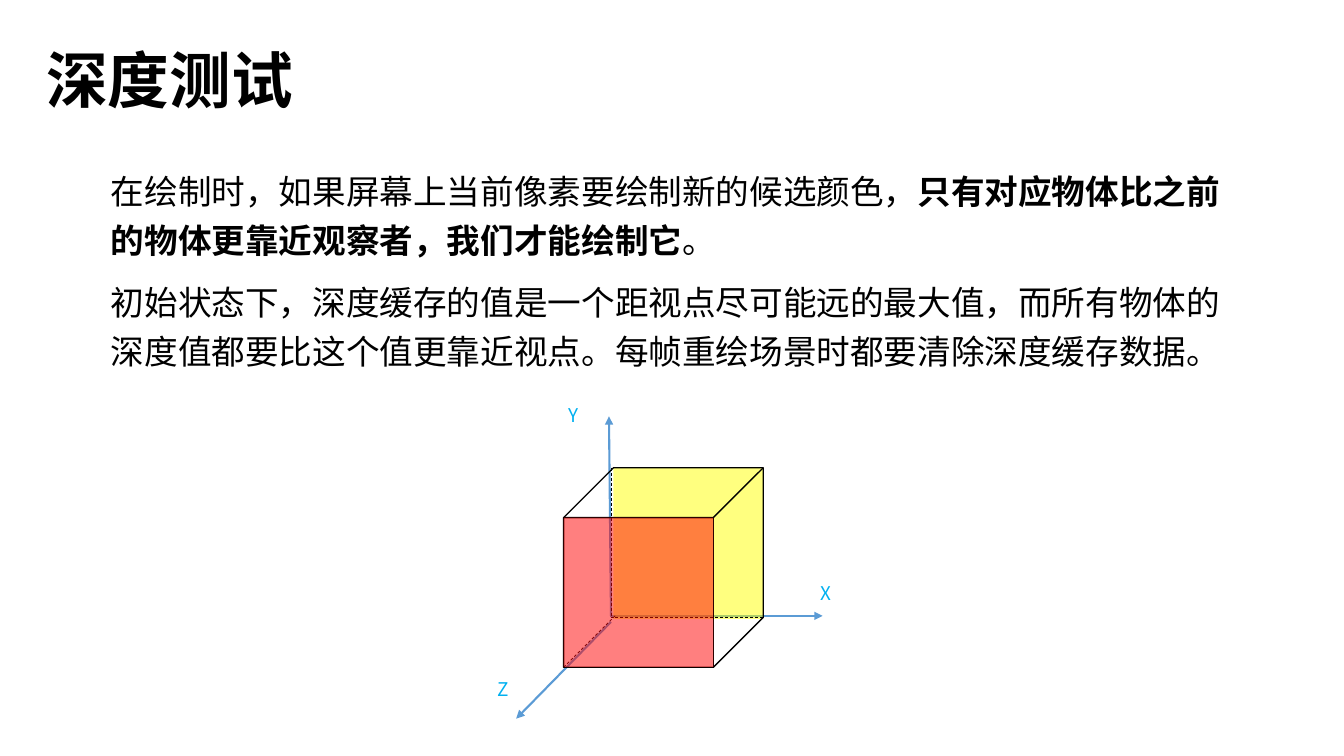
from dataclasses import dataclass
from typing import NamedTuple

from lxml import etree
from pptx import Presentation, util as u
from pptx.dml.color import RGBColor
from pptx.enum import dml, shapes, text
from pptx.oxml import ns


@dataclass(frozen=True)
class Theme:
    ink: str = "000000"
    axis: str = "5B9BD5"
    label: str = "00B0F0"
    back: str = "FFFF00"
    front: str = "FF0000"
    sans: str = "Noto Sans CJK SC"
    head: str = "Arial"
    title: float = 44
    body: float = 24
    small: float = 13.5


class Box(NamedTuple):
    col: float
    row: float
    wide: float
    high: float


class Line(NamedTuple):
    start: tuple[float, float]
    end: tuple[float, float]


class Label(NamedTuple):
    name: str
    col: float
    row: float


T = Theme()
CELL = 0.5  # inches per grid column and row


def grid(*cells: float) -> list[int]:
    return [u.Inches(c * CELL) for c in cells]


def place(shape, box: Box) -> None:
    shape.left, shape.top, shape.width, shape.height = grid(*box)


def write(para, words: str, *, size: float, color: str = T.ink,
          font: str = T.sans, bold: bool = False) -> None:
    run = para.add_run()
    run.text = words
    run.font.size, run.font.bold, run.font.name = u.Pt(size), bold, font
    run.font.color.rgb = RGBColor.from_string(color)
    east = etree.SubElement(run.font._element, ns.qn("a:ea"))
    east.set("typeface", T.sans)


def frame(shape, anchor) -> None:
    box = shape.text_frame
    box.word_wrap = True
    box.auto_size = text.MSO_AUTO_SIZE.NONE
    box.vertical_anchor = anchor


def draw_line(slide, line: Line, color: str, width: float, *,
              dash: bool = False, arrow: bool = False) -> None:
    link = slide.shapes.add_connector(
        shapes.MSO_CONNECTOR.STRAIGHT, *grid(*line.start, *line.end))
    link.line.color.rgb = RGBColor.from_string(color)
    link.line.width = u.Pt(width)
    if dash:
        link.line.dash_style = dml.MSO_LINE.DASH
    if arrow:
        tip = etree.SubElement(link.line._get_or_add_ln(), ns.qn("a:tailEnd"))
        tip.set("type", "triangle")
    etree.SubElement(link._element.spPr, ns.qn("a:effectLst"))


def draw_face(slide, box: Box, color: str) -> None:
    face = slide.shapes.add_shape(shapes.MSO_SHAPE.RECTANGLE, *grid(*box))
    face.shadow.inherit = False
    face.fill.solid()
    face.fill.fore_color.rgb = RGBColor.from_string(color)
    tint = face._element.spPr.find(".//" + ns.qn("a:srgbClr"))
    etree.SubElement(tint, ns.qn("a:alpha")).set("val", "50000")
    face.line.fill.background()


def draw_cube(slide, box: Box) -> None:
    cube = slide.shapes.add_shape(shapes.MSO_SHAPE.CUBE, *grid(*box))
    cube.shadow.inherit = False
    cube.fill.background()
    cube.line.color.rgb = RGBColor.from_string(T.ink)
    cube.line.width = u.Pt(1)


# Wording: each paragraph is a list of (words, bold)
BODY = [
    [("在绘制时，如果屏幕上当前像素要绘制新的候选颜色，", False),
     ("只有对应物体比之前的物体更靠近观察者，我们才能绘制它", True),
     ("。", False)],
    [("初始状态下，深度缓存的值是一个距视点尽可能远的最大值，而所有物体的"
      "深度值都要比这个值更靠近视点。每帧重绘场景时都要清除深度缓存数据。", False)],
]

# Cube geometry: depth is a quarter of the whole
CUBE = Box(11.18, 9.28, 3.96, 3.96)
DEPTH = CUBE.wide / 4
EDGE = CUBE.wide - DEPTH
RIGHT, FOOT = CUBE.col + CUBE.wide, CUBE.row + CUBE.high
HUB = (12.12, 12.24)
AXES = [
    Line((12.1, 12.22), (16.32, 12.22)),
    Line((12.12, 12.22), (12.08, 8.26)),
    Line((12.12, 12.34), (10.24, 14.26)),
]
HIDDEN = [
    Line((RIGHT, HUB[1]), HUB),
    Line((CUBE.col, FOOT), (12.22, 12.2)),
    Line((HUB[0], CUBE.row), HUB),
]
LABELS = [Label("X", 16.08, 11.44), Label("Y", 11.08, 7.92),
          Label("Z", 9.68, 13.34)]


def main() -> None:
    deck = Presentation()
    deck.slide_width, deck.slide_height = u.Inches(13.33), u.Inches(7.5)
    slide = deck.slides.add_slide(deck.slide_layouts[1])

    # Title
    title = slide.shapes.title
    place(title, Box(0.72, 0.72, 12.88, 1.68))
    frame(title, text.MSO_ANCHOR.MIDDLE)
    para = title.text_frame.paragraphs[0]
    para.alignment = text.PP_ALIGN.LEFT
    write(para, "深度测试", size=T.title, font=T.head, bold=True)

    # Body
    body = slide.placeholders[1]
    place(body, Box(2, 3.14, 22.66, 5.74))
    frame(body, text.MSO_ANCHOR.TOP)
    for i, parts in enumerate(BODY):
        para = (body.text_frame.add_paragraph() if i
                else body.text_frame.paragraphs[0])
        para.line_spacing, para.space_before = 1.2, u.Pt(10)
        props = para._p.get_or_add_pPr()
        props.set("marL", "0")
        props.set("indent", "0")
        etree.SubElement(props, ns.qn("a:buNone"))
        for words, bold in parts:
            write(para, words, size=T.body, bold=bold)

    # Axis names
    for mark in LABELS:
        box = slide.shapes.add_textbox(*grid(mark.col, mark.row, 0.9, 0.66))
        frame(box, text.MSO_ANCHOR.TOP)
        write(box.text_frame.paragraphs[0], mark.name,
              size=T.small, color=T.label)

    # Axes and cube, from back to front
    for line in AXES:
        draw_line(slide, line, T.axis, 1.5, arrow=True)
    draw_face(slide, Box(CUBE.col + DEPTH, CUBE.row, EDGE, EDGE + 0.03), T.back)
    draw_cube(slide, CUBE)
    for line in HIDDEN:
        draw_line(slide, line, T.ink, 0.5, dash=True)
    draw_face(slide, Box(CUBE.col, CUBE.row + DEPTH, EDGE, EDGE), T.front)

    deck.save("out.pptx")


if __name__ == "__main__":
    main()
